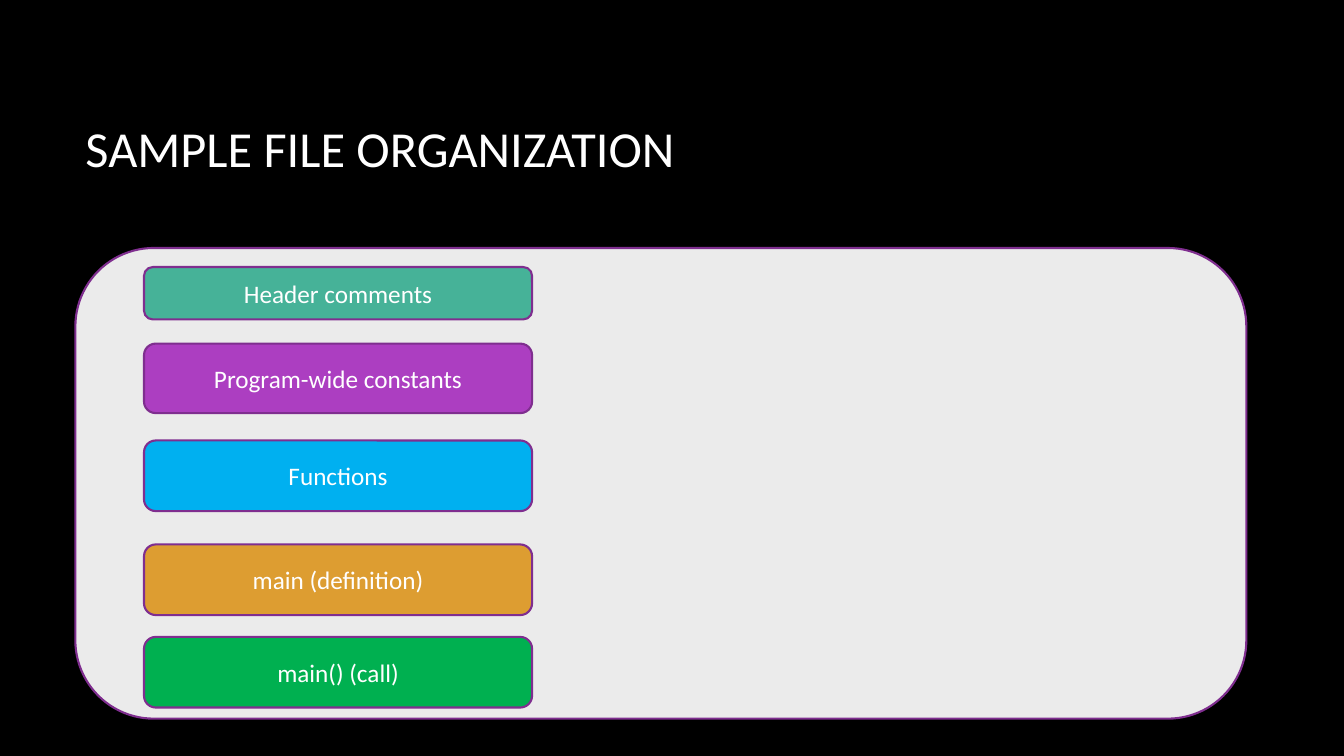
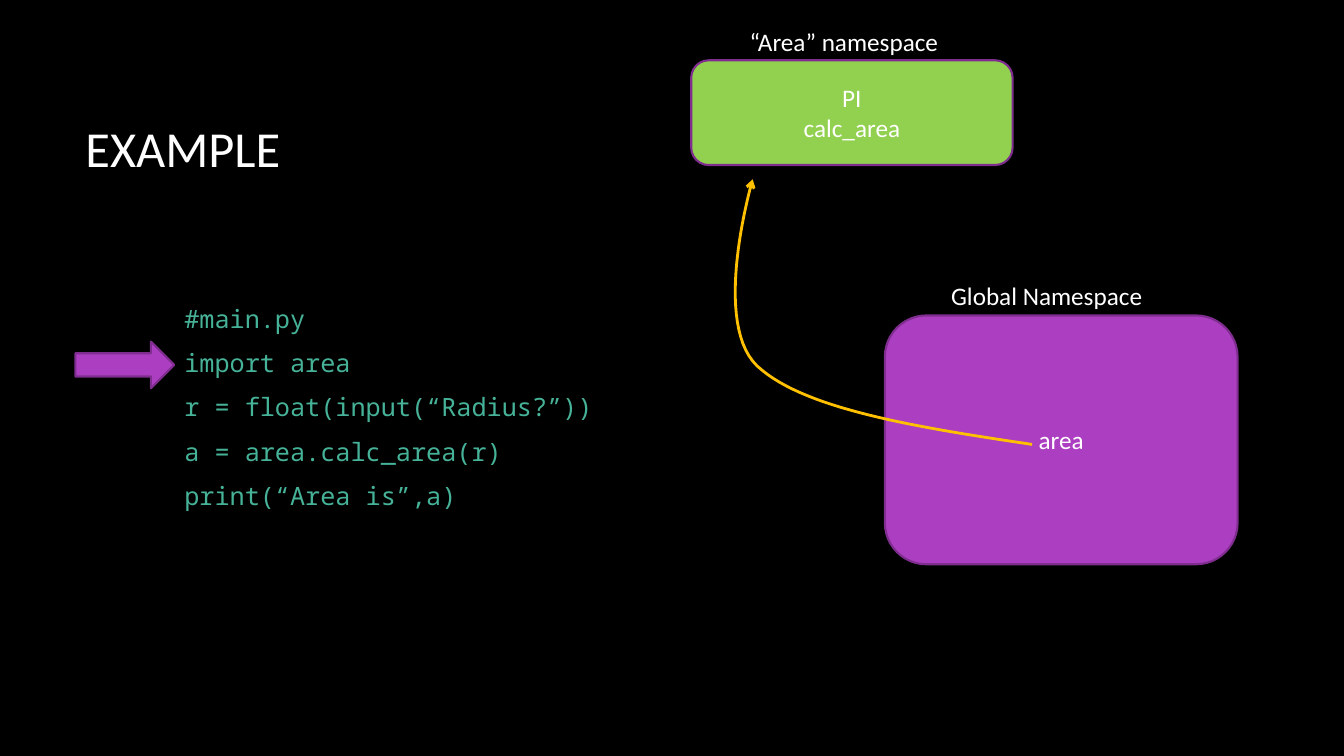
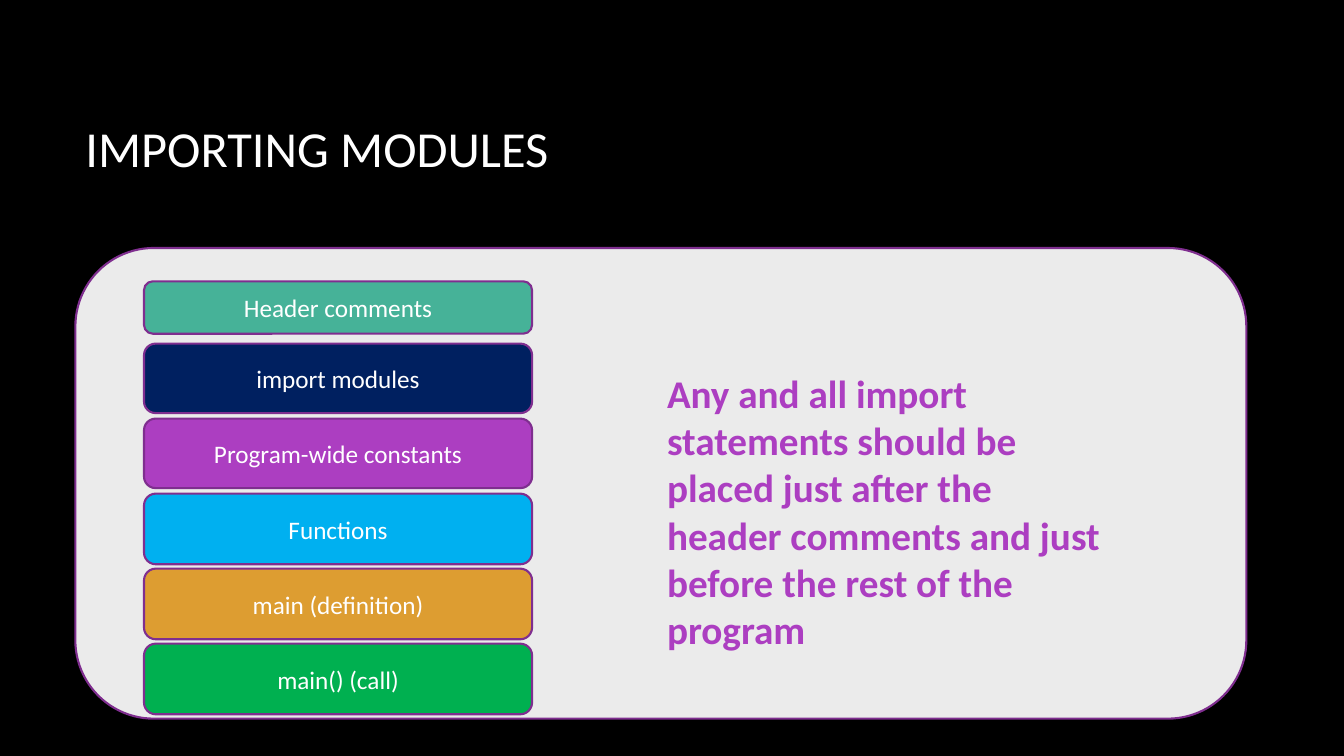
from dataclasses import dataclass
from typing import NamedTuple, Optional

import lxml.etree
import pptx
import pptx.dml.color
import pptx.enum.shapes
import pptx.enum.text
import pptx.oxml.ns
import pptx.presentation
import pptx.shapes.autoshape
import pptx.slide
import pptx.text.text
import pptx.util

Cm = pptx.util.Cm
Pt = pptx.util.Pt
RGBColor = pptx.dml.color.RGBColor
Shape = pptx.shapes.autoshape.Shape
Slide = pptx.slide.Slide
PresetShape = pptx.enum.shapes.MSO_SHAPE
Align = pptx.enum.text.PP_ALIGN
Anchor = pptx.enum.text.MSO_ANCHOR
AutoSize = pptx.enum.text.MSO_AUTO_SIZE


@dataclass(frozen=True)
class Theme:
    background: RGBColor = RGBColor.from_string("000000")
    text: RGBColor = RGBColor.from_string("FFFFFF")
    panel: RGBColor = RGBColor.from_string("EBEBEB")
    outline: RGBColor = RGBColor.from_string("7F2E8F")
    teal: RGBColor = RGBColor.from_string("46B298")
    purple: RGBColor = RGBColor.from_string("AC3EC1")
    blue: RGBColor = RGBColor.from_string("00B0F0")
    amber: RGBColor = RGBColor.from_string("DD9D31")
    green: RGBColor = RGBColor.from_string("00B050")
    navy: RGBColor = RGBColor.from_string("002060")
    lime: RGBColor = RGBColor.from_string("92D050")
    pointer: RGBColor = RGBColor.from_string("FFC000")
    font: str = "Calibri"
    code_font: str = "Noto Sans Mono"
    title_size: float = 36
    note_size: float = 28
    text_size: float = 18
    outline_width: float = 1.5
    pointer_width: float = 2


THEME = Theme()


class Box(NamedTuple):
    """Left, top, width and height in centimetres."""
    left: float
    top: float
    width: float
    height: float

    def lengths(self) -> list[pptx.util.Length]:
        return [Cm(value) for value in self]


class Section(NamedTuple):
    """One part of a program file."""
    label: str
    color: RGBColor
    height: float


class Point(NamedTuple):
    x: float
    y: float


TITLE_BOX = Box(1.9, 1.7, 28.14, 4.04)
PANEL_BOX = Box(1.9, 6.25, 29.51, 11.86)
SECTION_LEFT, SECTION_WIDTH = 3.63, 9.78

HEADER = Section("Header comments", THEME.teal, 1.32)
IMPORTS = Section("import modules", THEME.navy, 1.75)
CONSTANTS = Section("Program-wide constants", THEME.purple, 1.75)
FUNCTIONS = Section("Functions", THEME.blue, 1.78)
MAIN_DEFINITION = Section("main (definition)", THEME.amber, 1.78)
MAIN_CALL = Section("main() (call)", THEME.green, 1.78)


# Shared drawing functions
def write_text(frame: pptx.text.text.TextFrame, text: str, *, size: float = THEME.text_size,
               color: RGBColor = THEME.text, font: str = THEME.font, bold: bool = False,
               align: Align = Align.LEFT, space_after: float = 0) -> None:
    """Write one paragraph for each line of the text."""
    for index, line in enumerate(text.split("\n")):
        paragraph = frame.add_paragraph() if index else frame.paragraphs[0]
        paragraph.alignment = align
        paragraph.space_before = Pt(0)
        paragraph.space_after = Pt(space_after)
        run = paragraph.add_run()
        run.text = line
        run.font.size = Pt(size)
        run.font.name = font
        run.font.bold = bold
        run.font.color.rgb = color


def place(shape: Shape, box: Box) -> None:
    shape.left, shape.top, shape.width, shape.height = box.lengths()


def add_slide(presentation: pptx.presentation.Presentation, layout_name: str, title: str) -> Slide:
    layout = presentation.slide_layouts.get_by_name(layout_name)
    slide = presentation.slides.add_slide(layout)
    shape = slide.shapes.title
    place(shape, TITLE_BOX)
    shape.text_frame.vertical_anchor = Anchor.MIDDLE
    shape.text_frame.auto_size = AutoSize.NONE
    write_text(shape.text_frame, title, size=THEME.title_size)
    return slide


def add_block(slide: Slide, box: Box, fill: RGBColor, text: Optional[str] = None,
              kind: PresetShape = PresetShape.ROUNDED_RECTANGLE) -> None:
    shape = slide.shapes.add_shape(kind, *box.lengths())
    shape.shadow.inherit = False
    shape.fill.solid()
    shape.fill.fore_color.rgb = fill
    shape.line.color.rgb = THEME.outline
    shape.line.width = Pt(THEME.outline_width)
    if text:
        write_text(shape.text_frame, text, align=Align.CENTER)


def add_label(slide: Slide, box: Box, text: str, wrap: bool = False, **text_format) -> None:
    frame = slide.shapes.add_textbox(*box.lengths()).text_frame
    frame.word_wrap = wrap
    frame.auto_size = AutoSize.SHAPE_TO_FIT_TEXT
    write_text(frame, text, **text_format)


def add_file_outline(slide: Slide, sections: list[Section], tops: list[float]) -> None:
    """Draw the panel and the file's sections inside it."""
    add_block(slide, PANEL_BOX, THEME.panel)
    for section, top in zip(sections, tops):
        box = Box(SECTION_LEFT, top, SECTION_WIDTH, section.height)
        add_block(slide, box, section.color, section.label)


def bezier(points: list[Point], steps: int = 30) -> list[Point]:
    """Points along a cubic curve, without its start."""
    curve = []
    for step in range(1, steps + 1):
        t = step / steps
        weights = ((1 - t) ** 3, 3 * t * (1 - t) ** 2, 3 * t ** 2 * (1 - t), t ** 3)
        curve.append(Point(sum(w * p.x for w, p in zip(weights, points)),
                           sum(w * p.y for w, p in zip(weights, points))))
    return curve


def add_curved_arrow(slide: Slide, controls: list[Point]) -> None:
    """Draw joined cubic curves that end in an arrowhead."""
    curve = [point for first in range(0, len(controls) - 1, 3)
             for point in bezier(controls[first:first + 4])]
    start = controls[0]
    builder = slide.shapes.build_freeform(Cm(start.x), Cm(start.y))
    builder.add_line_segments([(Cm(point.x), Cm(point.y)) for point in curve], close=False)
    shape = builder.convert_to_shape()
    shape.shadow.inherit = False
    shape.fill.background()
    shape.line.color.rgb = THEME.pointer
    shape.line.width = Pt(THEME.pointer_width)
    line = shape.line._get_or_add_ln()
    lxml.etree.SubElement(line, pptx.oxml.ns.qn("a:tailEnd"), type="arrow")


def fill_code(shape: Shape, box: Box, code: str) -> None:
    """Turn a body placeholder into an unbulleted code listing."""
    place(shape, box)
    frame = shape.text_frame
    frame.vertical_anchor = Anchor.MIDDLE
    frame.auto_size = AutoSize.NONE
    write_text(frame, code, color=THEME.teal, font=THEME.code_font, space_after=10)
    for paragraph in frame.paragraphs:
        properties = paragraph._p.get_or_add_pPr()
        properties.set("marL", "0")
        properties.set("indent", "0")
        lxml.etree.SubElement(properties, pptx.oxml.ns.qn("a:buNone"))


# Slides
def add_organization_slide(presentation: pptx.presentation.Presentation) -> None:
    slide = add_slide(presentation, "Title Only", "SAMPLE FILE ORGANIZATION")
    add_file_outline(slide, [HEADER, CONSTANTS, FUNCTIONS, MAIN_DEFINITION, MAIN_CALL],
                     [6.73, 8.66, 11.1, 13.72, 16.05])


def add_example_slide(presentation: pptx.presentation.Presentation) -> None:
    slide = add_slide(presentation, "Title and Content", "EXAMPLE")
    code = ("#main.py\nimport area\nr = float(input(“Radius?”))\n"
            "a = area.calc_area(r)\nprint(“Area is”,a)")
    fill_code(slide.placeholders[1], Box(4.39, 5.74, 12.6, 9.02), code)
    add_block(slide, Box(1.9, 8.61, 2.49, 1.17), THEME.purple, kind=PresetShape.RIGHT_ARROW)

    # Namespaces and the reference between them
    add_block(slide, Box(22.3, 7.95, 8.89, 6.27), THEME.purple, "area")
    add_label(slide, Box(23.72, 6.93, 5.38, 1.02), "Global Namespace")
    add_block(slide, Box(17.42, 1.52, 8.1, 2.64), THEME.lime, "PI\ncalc_area")
    add_label(slide, Box(18.64, 0.53, 5.31, 1.02), "“Area” namespace")
    add_curved_arrow(slide, [Point(26.01, 11.2), Point(23.11, 10.77), Point(20.24, 10.31),
                             Point(19.08, 9.22), Point(17.91, 8.1), Point(18.97, 4.52),
                             Point(18.97, 4.52)])


def add_importing_slide(presentation: pptx.presentation.Presentation) -> None:
    slide = add_slide(presentation, "Title Only", "IMPORTING MODULES")
    sections = [HEADER, IMPORTS, CONSTANTS, FUNCTIONS, MAIN_DEFINITION, MAIN_CALL]
    tops = [7.09] + [8.66 + 1.89 * row for row in range(len(sections) - 1)]
    add_file_outline(slide, sections, tops)
    add_label(slide, Box(16.56, 9.19, 11.71, 7.44),
              "Any and all import statements should be placed just after the header comments "
              "and just before the rest of the program",
              wrap=True, size=THEME.note_size, color=THEME.purple, bold=True)


def main() -> None:
    presentation = pptx.Presentation()
    presentation.slide_width = Cm(33.87)
    presentation.slide_height = Cm(19.05)
    background = presentation.slide_master.background.fill
    background.solid()
    background.fore_color.rgb = THEME.background
    add_organization_slide(presentation)
    add_example_slide(presentation)
    add_importing_slide(presentation)
    presentation.save("out.pptx")


if __name__ == "__main__":
    main()
